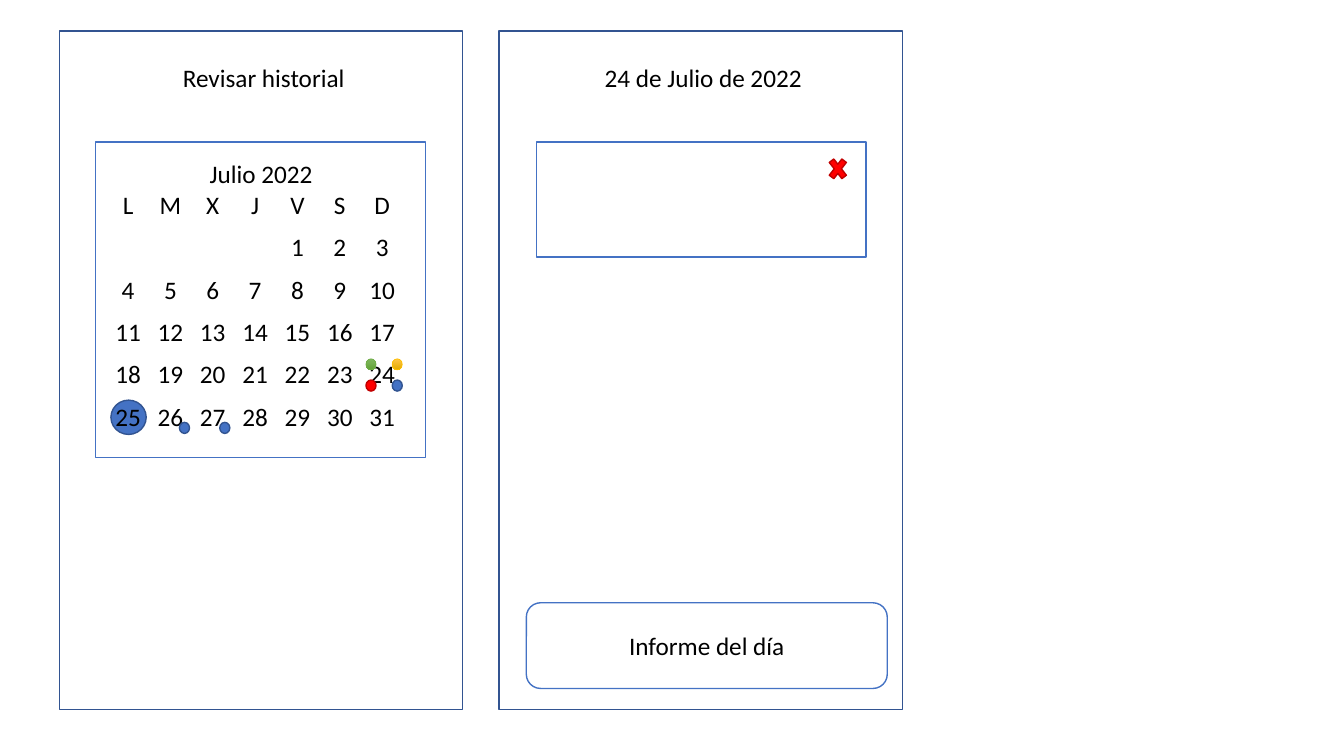
import pptx
import pptx.util
import pptx.dml.color
import pptx.enum.shapes
import pptx.enum.text
from lxml import etree

Inches = pptx.util.Inches
Pt = pptx.util.Pt
RGBColor = pptx.dml.color.RGBColor
SHAPE = pptx.enum.shapes.MSO_SHAPE
ALIGN = pptx.enum.text.PP_ALIGN
ANCHOR = pptx.enum.text.MSO_ANCHOR

WHITE = RGBColor(0xFF, 0xFF, 0xFF)
BLACK = RGBColor(0x00, 0x00, 0x00)
BLUE = RGBColor(0x44, 0x72, 0xC4)
NAVY = RGBColor(0x32, 0x54, 0x91)
RED = RGBColor(0xFF, 0x00, 0x00)
DARK_RED = RGBColor(0xC0, 0x00, 0x00)
GREEN = RGBColor(0x70, 0xAD, 0x47)
GREEN_TOP = RGBColor(0x81, 0xB8, 0x61)
GREEN_BOTTOM = RGBColor(0x62, 0xA3, 0x36)
YELLOW = RGBColor(0xFF, 0xC0, 0x00)
YELLOW_TOP = RGBColor(0xFF, 0xC6, 0x4B)
YELLOW_BOTTOM = RGBColor(0xE3, 0xAB, 0x00)

SCREEN_W, SCREEN_H = 4, 6.73
CARD_W = 3.27
DAY_STEP = 0.42  # distance between day columns and between week rows
DAY_ROWS = [
    ["L", "M", "X", "J", "V", "S", "D"],
    ["1", "2", "3"],
    *[[str(day) for day in range(monday, monday + 7)]
      for monday in (4, 11, 18, 25)],
]


def add_box(s, kind, x, y, w, h, fill, line, line_width=1):
    """Add a shape; a pair of fill colours makes a vertical gradient."""
    sp = s.shapes.add_shape(kind, Inches(x), Inches(y), Inches(w), Inches(h))
    sp.shadow.inherit = False
    if isinstance(fill, RGBColor):
        sp.fill.solid()
        sp.fill.fore_color.rgb = fill
    else:
        sp.fill.gradient()
        sp.fill.gradient_angle = 270
        for stop, color in zip(sp.fill.gradient_stops, fill):
            stop.color.rgb = color
    sp.line.color.rgb = line
    sp.line.width = Pt(line_width)
    return sp


def write(tf, text, align):
    p = tf.paragraphs[0]
    p.alignment = align
    r = p.add_run()
    r.text = text
    r.font.name = "Calibri"
    r.font.size = Pt(18)
    r.font.color.rgb = BLACK
    return p


def add_label(s, text, x, y, w, align=ALIGN.CENTER):
    tf = s.shapes.add_textbox(Inches(x), Inches(y), Inches(w), Inches(0.4)).text_frame
    tf.word_wrap = True
    return tf, write(tf, text, align)


def add_day_row(s, days, x, y):
    """Centre each day on a tab stop; short rows fill the last columns."""
    tf, p = add_label(s, "".join("\t" + day for day in days), x, y, 3.02, ALIGN.LEFT)
    tf.margin_left = 0
    p_pr = p._p.get_or_add_pPr()
    tabs = etree.SubElement(p_pr, pptx.oxml.ns.qn("a:tabLst"))
    for column in range(7 - len(days), 7):
        tab = etree.SubElement(tabs, pptx.oxml.ns.qn("a:tab"))
        tab.set("pos", str(Inches(0.23 + column * DAY_STEP)))
        tab.set("algn", "ctr")


def add_screen(s, x, y, title):
    add_box(s, SHAPE.RECTANGLE, x, y, SCREEN_W, SCREEN_H, WHITE, NAVY)
    add_label(s, title, x + 0.2, y + 0.26, 3.65)


def add_dot(s, x, y, fill, line, line_width=1):
    add_box(s, SHAPE.FLOWCHART_CONNECTOR, x, y, 0.1, 0.11, fill, line, line_width)


def add_calendar(s, x, y):
    add_box(s, SHAPE.FLOWCHART_PROCESS, x, y, CARD_W, 3.13, WHITE, BLUE)
    add_label(s, "Julio 2022", x + 0.09, y + 0.11, 3.1)

    # Current day, behind its number
    add_box(s, SHAPE.FLOWCHART_CONNECTOR, x + 0.15, y + 2.56, 0.35, 0.34, BLUE, NAVY)
    for row, days in enumerate(DAY_ROWS):
        add_day_row(s, days, x + 0.09, y + 0.42 + row * DAY_STEP)

    # Event dots on days 26 and 27
    for dx in (0.83, 1.23):
        add_dot(s, x + dx, y + 2.78, BLUE, NAVY)

    # Event dots around day 24
    left, right, top, bottom = x + 2.68, x + 2.94, y + 2.15, y + 2.36
    add_dot(s, left, top, (GREEN_TOP, GREEN_BOTTOM), GREEN, 0.5)
    add_dot(s, left, bottom, RED, DARK_RED)
    add_dot(s, right, top, (YELLOW_TOP, YELLOW_BOTTOM), YELLOW, 0.5)
    add_dot(s, right, bottom, BLUE, NAVY)


def add_history_screen(s, x, y):
    add_screen(s, x, y, "Revisar historial")
    add_calendar(s, x + 0.36, y + 1.1)


def add_day_screen(s, x, y):
    add_screen(s, x, y, "24 de Julio de 2022")

    # Event card with its delete mark
    add_box(s, SHAPE.FLOWCHART_PROCESS, x + 0.37, y + 1.1, CARD_W, 1.14, WHITE, BLUE)
    add_box(s, SHAPE.MATH_MULTIPLY, x + 3.24, y + 1.21, 0.24, 0.31, RED, DARK_RED)

    # Report button
    button = add_box(s, SHAPE.ROUNDED_RECTANGLE, x + 0.27, y + 5.67, 3.58, 0.85,
                     WHITE, BLUE)
    button.text_frame.vertical_anchor = ANCHOR.MIDDLE
    write(button.text_frame, "Informe del día", ALIGN.CENTER)


def main():
    prs = pptx.Presentation()
    prs.slide_width, prs.slide_height = Inches(13.33), Inches(7.5)
    s = prs.slides.add_slide(prs.slide_layouts[6])
    add_history_screen(s, 0.59, 0.31)
    add_day_screen(s, 4.95, 0.31)
    prs.save("out.pptx")


if __name__ == "__main__":
    main()
